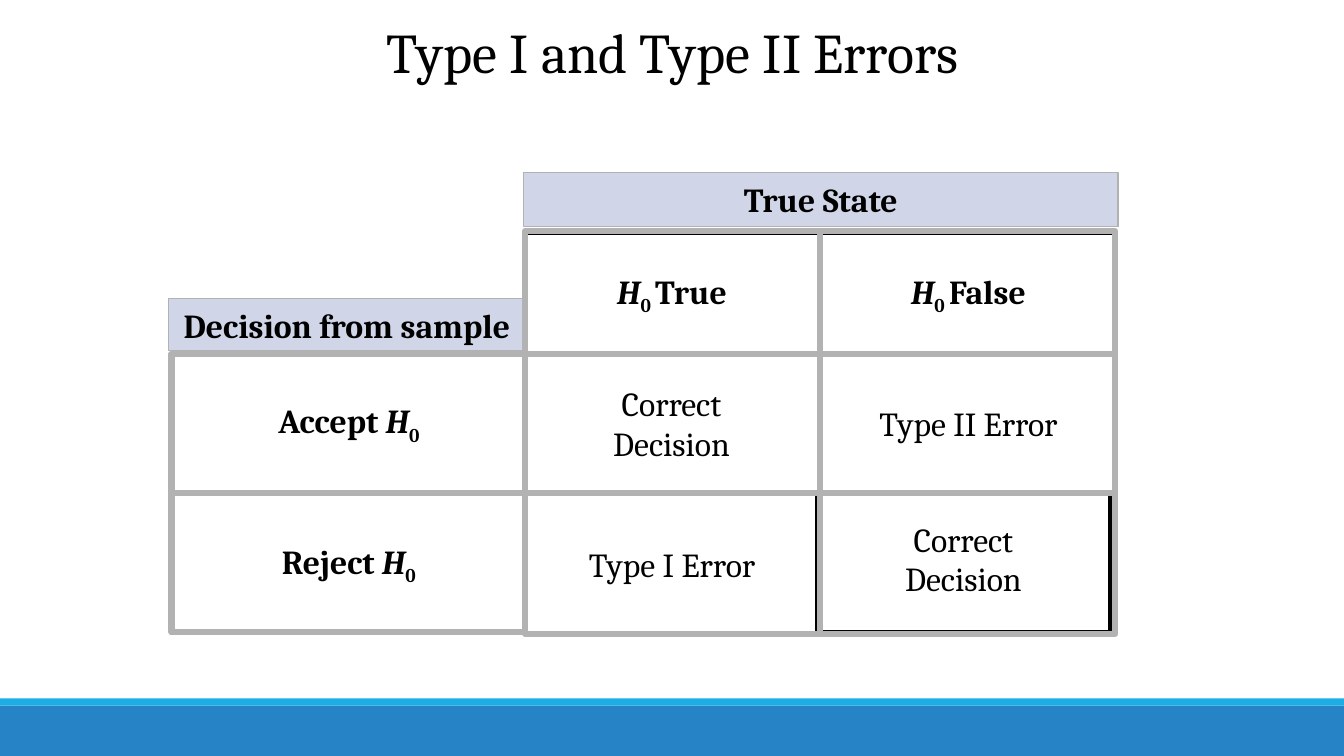
import pptx
import pptx.dml.color
import pptx.enum.shapes
import pptx.enum.text
import pptx.oxml.ns
import pptx.util
from lxml import etree

PX = 9144  # 100 px to the inch
FONT = "Cambria"
COLORS = {"ink": "000000", "grid": "B2B2B2", "head": "D0D5E7",
          "band": "2683C6", "strip": "1CADE4"}


def color(name):
    return pptx.dml.color.RGBColor.from_string(COLORS[name])


def add_run(para, text, size, bold, italic=False, sub=False):
    run = para.add_run()
    run.text = text
    font = run.font
    font.name, font.size = FONT, pptx.util.Pt(size)
    font.bold, font.italic = bold, italic
    font.color.rgb = color("ink")
    if sub:
        run._r.get_or_add_rPr().set("baseline", "-25000")


def write(frame, text, size=24, bold=False, leading=None, gap=0, wrap=False):
    """Fill a frame with centred lines; H0 gets an italic H and a subscript 0."""
    frame.word_wrap = wrap
    frame.vertical_anchor = pptx.enum.text.MSO_ANCHOR.MIDDLE
    for i, line in enumerate(text.split("\n")):
        para = frame.add_paragraph() if i else frame.paragraphs[0]
        para.alignment = pptx.enum.text.PP_ALIGN.CENTER
        if leading:
            para.line_spacing = leading
        if i and gap:
            para.space_before = pptx.util.Pt(gap)
        before, mark, after = line.partition("H0")
        if before:
            add_run(para, before, size, bold)
        if mark:
            add_run(para, "H", size, bold, italic=True)
            add_run(para, "0 " if after else "0", size, bold, sub=True)
        if after:
            add_run(para, after.lstrip(), size, bold)


class Board:
    def __init__(self, slide):
        self.slide = slide

    def label(self, box, text, **style):
        shape = self.slide.shapes.add_textbox(*(n * PX for n in box))
        write(shape.text_frame, text, wrap=True, **style)

    def rect(self, box, fill=None, line=None, width=1, text=None, **style):
        kind = pptx.enum.shapes.MSO_SHAPE.RECTANGLE
        shape = self.slide.shapes.add_shape(kind, *(n * PX for n in box))
        shape.shadow.inherit = False
        if fill:
            shape.fill.solid()
            shape.fill.fore_color.rgb = color(fill)
        else:
            shape.fill.background()
        if line:
            shape.line.color.rgb = color(line)
            shape.line.width = pptx.util.Pt(width)
        else:
            shape.line.fill.background()
        if text:
            write(shape.text_frame, text, **style)
        return shape

    def rule(self, x1, y1, x2, y2, start=None, end=None):
        kind = pptx.enum.shapes.MSO_CONNECTOR.STRAIGHT
        line = self.slide.shapes.add_connector(
            kind, *(n * PX for n in (x1, y1, x2, y2)))
        if start:
            line.begin_connect(*start)
        if end:
            line.end_connect(*end)
        line.line.color.rgb = color("grid")
        line.line.width = pptx.util.Pt(4.5)
        etree.SubElement(line._element.spPr, pptx.oxml.ns.qn("a:effectLst"))


def main():
    deck = pptx.Presentation()
    deck.slide_width, deck.slide_height = 1333 * PX, 750 * PX
    board = Board(deck.slides.add_slide(deck.slide_layouts[6]))

    # Footer bands and title
    board.rect((0, 700, 1333, 50), fill="band")
    board.rect((0, 693, 1333, 7), fill="strip")
    board.label((242, 9, 850, 83), "Type I and Type II Errors", size=40)

    # Cells
    bold = {"bold": True}
    tight = {"leading": 0.8, "gap": 4.8}
    cells = [
        ((520, 352, 292, 136), "Correct\nDecision", {}),
        ((815, 352, 291, 136), "Type II Error", {}),
        ((810, 488, 291, 139), "Correct\nDecision", tight),
        ((521, 490, 291, 139), "Type I Error", {}),
        ((170, 490, 352, 138), "Reject H0", bold),
        ((172, 352, 348, 136), "Accept H0", bold),
        ((521, 232, 291, 119), "H0 True", bold),
        ((815, 232, 291, 119), "H0 False", bold),
    ]
    for box, text, style in cells:
        board.rect(box, line="ink", width=2.25, text=text, **style)

    # Headings
    for box, text in [((167, 296, 354, 52), "Decision from sample"),
                      ((519, 171, 590, 54), "True State")]:
        board.rect(box, fill="head", line="grid", text=text, bold=True)

    # Grey grid: two frames and the rules inside them
    state = board.rect((521, 229, 585, 400), line="grid", width=4.5)
    choice = board.rect((170, 351, 351, 276), line="grid", width=4.5)
    board.rule(813, 229, 813, 629, start=(state, 0), end=(state, 2))
    board.rule(170, 489, 473, 489, start=(choice, 1))
    for y in (351, 489):
        board.rule(473, y, 1105, y)

    deck.save("out.pptx")


if __name__ == "__main__":
    main()
